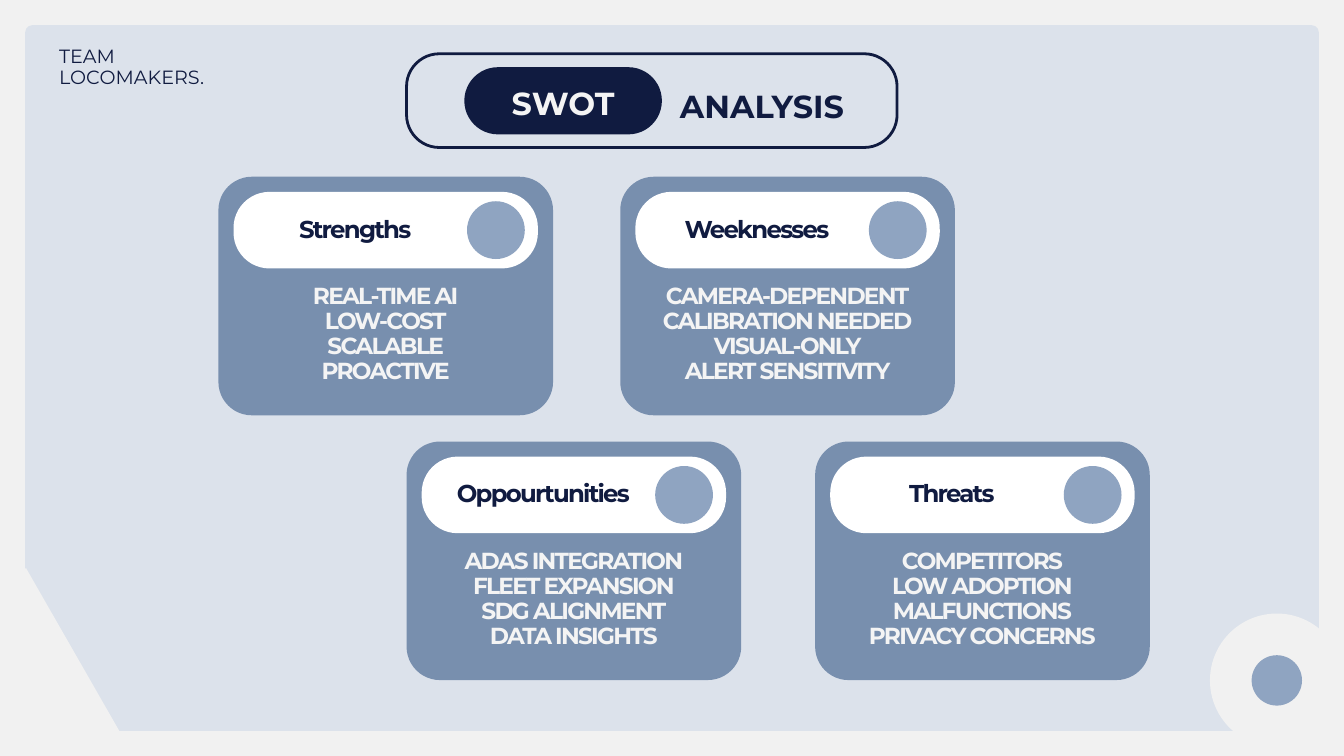
"""Build the SWOT analysis slide for the team deck."""
import dataclasses

import pptx
import pptx.dml.color
import pptx.enum.shapes
import pptx.enum.text
import pptx.util

SHAPE = pptx.enum.shapes.MSO_SHAPE
ALIGN = pptx.enum.text.PP_ALIGN
WIDTH, HEIGHT = pptx.util.Inches(20), pptx.util.Inches(11.25)
COLS, ROWS = 80, 45
CARD_W, CARD_H = 19.92, 14.2
TOP_ROW, BOTTOM_ROW = 10.52, 26.28

CARDS = [
    (13, TOP_ROW, "Strengths",
     ["REAL-TIME AI", "LOW-COST", "SCALABLE", "PROACTIVE"]),
    (36.92, TOP_ROW, "Weeknesses",
     ["CAMERA-DEPENDENT", "CALIBRATION NEEDED", "VISUAL-ONLY", "ALERT SENSITIVITY"]),
    (48.52, BOTTOM_ROW, "Threats",
     ["COMPETITORS", "LOW ADOPTION", "MALFUNCTIONS", "PRIVACY CONCERNS"]),
    (24.2, BOTTOM_ROW, "Oppourtunities",
     ["ADAS INTEGRATION", "FLEET EXPANSION", "SDG ALIGNMENT", "DATA INSIGHTS"]),
]


@dataclasses.dataclass(frozen=True)
class TextStyle:
    """Size, line pitch and letter spacing in points, with colour and weight."""
    size: float
    pitch: float
    spacing: float
    color: str
    bold: bool = True


@dataclasses.dataclass(frozen=True)
class Theme:
    """Colours and type styles of the slide."""
    font: str = "Montserrat"
    paper: str = "F1F1F1"
    panel: str = "DCE2EB"
    navy: str = "101B40"
    card: str = "788FAE"
    pill: str = "FFFFFF"
    dot: str = "8FA4C1"
    badge: TextStyle = TextStyle(34.1, 47.8, 0.1, "F4F4F4")
    heading: TextStyle = TextStyle(34.1, 47.8, 0.1, "101B40")
    card_title: TextStyle = TextStyle(26.1, 28.2, -1.9, "101B40")
    card_body: TextStyle = TextStyle(24.9, 26.9, -1.8, "F4F4F4")
    team: TextStyle = TextStyle(20.5, 22.4, 0, "101B40", False)


THEME = Theme()


def rgb(code):
    """Return the colour for a hexadecimal code."""
    return pptx.dml.color.RGBColor.from_string(code)


def place(col, row, cols, rows):
    """Convert grid units to left, top, width and height."""
    return (round(col * WIDTH / COLS), round(row * HEIGHT / ROWS),
            round(cols * WIDTH / COLS), round(rows * HEIGHT / ROWS))


def add_block(shapes, kind, box, fill=None, line=None, corner=None):
    """Add a preset shape with a plain fill or a plain outline."""
    sp = shapes.add_shape(kind, *place(*box))
    sp.shadow.inherit = False
    if corner is not None:
        sp.adjustments[0] = corner
    if fill:
        sp.fill.solid()
        sp.fill.fore_color.rgb = rgb(fill)
    else:
        sp.fill.background()
    if line:
        sp.line.color.rgb = rgb(line)
        sp.line.width = pptx.util.Pt(3)
    else:
        sp.line.fill.background()
    return sp


def add_text(shapes, box, lines, style, align=ALIGN.CENTER):
    """Add a text box without margins, one paragraph per line."""
    tf = shapes.add_textbox(*place(*box)).text_frame
    tf.word_wrap = True
    tf.auto_size = pptx.enum.text.MSO_AUTO_SIZE.SHAPE_TO_FIT_TEXT
    tf.margin_left = tf.margin_top = tf.margin_right = tf.margin_bottom = 0
    tf.text = "\n".join(lines)
    for p in tf.paragraphs:
        p.alignment = align
        p.line_spacing = pptx.util.Pt(style.pitch)
        p.font.name = THEME.font
        p.font.size = pptx.util.Pt(style.size)
        p.font.bold = style.bold
        p.font.color.rgb = rgb(style.color)
        p._p.pPr.defRPr.set("spc", str(round(style.spacing * 100)))


def add_backdrop(shapes):
    """Add the panel and the ornaments in its lower corners."""
    add_block(shapes, SHAPE.ROUNDED_RECTANGLE, (1.5, 1.5, 77, 42), THEME.panel, corner=0.01)
    add_block(shapes, SHAPE.OVAL, (72.02, 36.52, 7.96, 7.96), THEME.paper)
    add_block(shapes, SHAPE.OVAL, (74.5, 39, 3, 3), THEME.dot)
    add_block(shapes, SHAPE.ISOSCELES_TRIANGLE, (-4.44, 33.8, 11.96, 10.44), THEME.paper)


def add_header(shapes):
    """Add the framed title and the team name."""
    add_block(shapes, SHAPE.ROUNDED_RECTANGLE, (24.2, 3.2, 29.2, 5.58),
              line=THEME.navy, corner=0.35)
    add_block(shapes, SHAPE.ROUNDED_RECTANGLE, (27.64, 4, 11.76, 4), THEME.navy, corner=0.5)
    add_text(shapes, (27.12, 4.6, 12.8, 2.48), ["SWOT"], THEME.badge)
    add_text(shapes, (38.96, 4.76, 12.8, 2.48), ["ANALYSIS"], THEME.heading)
    add_text(shapes, (3.52, 2.76, 9.24, 2.44), ["TEAM LOCOMAKERS."], THEME.team, ALIGN.LEFT)


def add_card(slide, col, row, title, points):
    """Add one grouped quadrant: card, title pill, dot and points."""
    shapes = slide.shapes.add_group_shape().shapes
    add_block(shapes, SHAPE.ROUNDED_RECTANGLE, (col, row, CARD_W, CARD_H),
              THEME.card, corner=0.14)
    add_block(shapes, SHAPE.ROUNDED_RECTANGLE, (col + 0.9, row + 0.9, CARD_W - 1.8, 4.56),
              THEME.pill, corner=0.47)
    add_block(shapes, SHAPE.OVAL, (col + 14.8, row + 1.46, 3.44, 3.44), THEME.dot)
    add_text(shapes, (col + 2.24, row + 6.4, 15.44, 7.36), points, THEME.card_body)
    add_text(shapes, (col + 1.52, row + 2.38, 13.24, 1.6), [title], THEME.card_title)


def main():
    """Assemble and save the slide."""
    prs = pptx.Presentation()
    prs.slide_width, prs.slide_height = WIDTH, HEIGHT
    s = prs.slides.add_slide(prs.slide_layouts[6])
    s.background.fill.solid()
    s.background.fill.fore_color.rgb = rgb(THEME.paper)
    add_backdrop(s.shapes)
    add_header(s.shapes)
    for card in CARDS:
        add_card(s, *card)
    prs.save("out.pptx")


if __name__ == "__main__":
    main()
